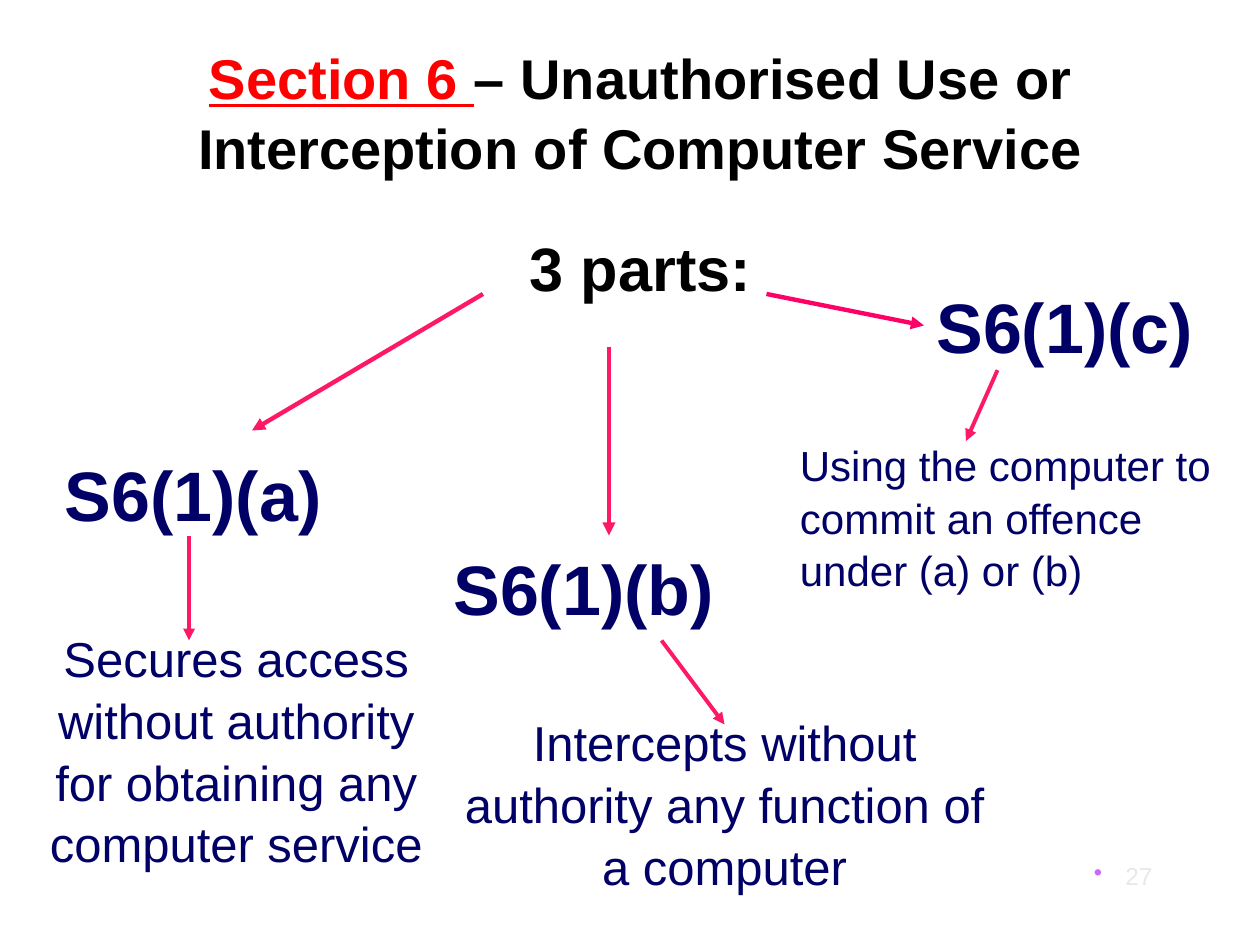
import pptx
import pptx.util
import pptx.dml.color
import pptx.enum.text
import pptx.enum.shapes
import pptx.oxml.ns
from lxml import etree

WIDTH, HEIGHT = 10, 7.5
COLUMNS, ROWS = 120, 90
NAVY, BLACK, RED, PINK, ROSE = "000066", "000000", "FF0000", "FD1965", "FF0066"
PALE, PURPLE = "E8E8E8", "CC66FF"
LEFT = pptx.enum.text.PP_ALIGN.LEFT
CENTER = pptx.enum.text.PP_ALIGN.CENTER
HEADING = {"size": pptx.util.Pt(40), "bold": True}
DETAIL = {"size": pptx.util.Pt(28)}
NOTE = {"size": pptx.util.Pt(24)}
TITLE = {"size": pptx.util.Pt(32), "bold": True}

# Column, row, columns wide, rows high, text, format, alignment
TEXTS = [
    (10, 21, 102, 54, "3 parts:", {"size": pptx.util.Pt(35), "bold": True, "color": BLACK}, CENTER),
    (5, 42, 39, 9.25, "S6(1)(a)", HEADING, LEFT),
    (42, 51, 28, 9.25, "S6(1)(b)", HEADING, LEFT),
    (88, 26, 28, 9.25, "S6(1)(c)", HEADING, LEFT),
    (2, 59, 41, 24,
     "Secures access without authority for obtaining any computer service", DETAIL, CENTER),
    (43, 67, 52, 18, "Intercepts without authority any function of a computer", DETAIL, CENTER),
    (75, 41, 44, 15.75, "Using the computer to commit an offence under (a) or (b)", NOTE, LEFT),
]

# Start column and row, end column and row, colour, width in points
ARROWS = [
    (46, 28, 24, 41, PINK, 2.5),
    (58, 33, 58, 51, PINK, 2.5),
    (73, 28, 88, 31, ROSE, 2.5),
    (18, 51, 18, 61, PINK, 2.25),
    (63, 61, 69, 69, PINK, 2.25),
    (95, 35.25, 92, 42, PINK, 2.25),
]


def across(columns):
    """Return the length of a number of grid columns."""
    return pptx.util.Inches(WIDTH * columns / COLUMNS)


def down(rows):
    """Return the length of a number of grid rows."""
    return pptx.util.Inches(HEIGHT * rows / ROWS)


def color_of(value):
    """Turn a hex string into a colour."""
    return pptx.dml.color.RGBColor.from_string(value)


def place(shape, column, row, columns, rows):
    """Put a shape on the grid."""
    shape.left, shape.top = across(column), down(row)
    shape.width, shape.height = across(columns), down(rows)


def add_run(paragraph, text, color=NAVY, **formats):
    """Add a run of Arial text with the given font values."""
    run = paragraph.add_run()
    run.text = text
    for name, value in {"name": "Arial", **formats}.items():
        setattr(run.font, name, value)
    run.font.color.rgb = color_of(color)


def format_frame(frame, alignment, anchor):
    """Set wrapping, anchor and alignment, and return the first paragraph."""
    values = {"word_wrap": True, "vertical_anchor": anchor,
              "auto_size": pptx.enum.text.MSO_AUTO_SIZE.NONE}
    for name, value in values.items():
        setattr(frame, name, value)
    paragraph = frame.paragraphs[0]
    paragraph.alignment = alignment
    paragraph.line_spacing = 1.05
    return paragraph


def add_title(slide):
    """Fill the title placeholder with its two-coloured heading."""
    title = slide.shapes.title
    place(title, 10, 3, 102, 15)
    paragraph = format_frame(title.text_frame, CENTER, pptx.enum.text.MSO_ANCHOR.MIDDLE)
    add_run(paragraph, "Section 6 ", RED, underline=True, **TITLE)
    add_run(paragraph, "– Unauthorised Use or Interception of Computer Service", BLACK, **TITLE)


def add_text(slide, column, row, columns, rows, text, formats, alignment):
    """Add a text box and return its paragraph."""
    box = slide.shapes.add_textbox(
        across(column), down(row), across(columns), down(rows))
    paragraph = format_frame(box.text_frame, alignment, pptx.enum.text.MSO_ANCHOR.TOP)
    add_run(paragraph, text, **formats)
    return paragraph


def add_bullet(paragraph, color, indent):
    """Give a paragraph a coloured bullet and a hanging indent."""
    properties = paragraph._p.get_or_add_pPr()
    properties.set("marL", str(indent))
    properties.set("indent", str(-indent))
    bullet_color = etree.SubElement(properties, pptx.oxml.ns.qn("a:buClr"))
    etree.SubElement(bullet_color, pptx.oxml.ns.qn("a:srgbClr"), val=color)
    etree.SubElement(properties, pptx.oxml.ns.qn("a:buChar"), char="•")


def add_arrow(slide, start_column, start_row, end_column, end_row, color, width):
    """Add a straight arrow without a shadow."""
    arrow = slide.shapes.add_connector(
        pptx.enum.shapes.MSO_CONNECTOR.STRAIGHT,
        across(start_column), down(start_row), across(end_column), down(end_row))
    arrow.line.color.rgb = color_of(color)
    arrow.line.width = pptx.util.Pt(width)
    etree.SubElement(arrow.line._get_or_add_ln(), pptx.oxml.ns.qn("a:tailEnd"), type="triangle")
    etree.SubElement(arrow._element.spPr, pptx.oxml.ns.qn("a:effectLst"))


def main():
    """Build the slide and save it."""
    presentation = pptx.Presentation()
    presentation.slide_width = pptx.util.Inches(WIDTH)
    presentation.slide_height = pptx.util.Inches(HEIGHT)
    slide = presentation.slides.add_slide(presentation.slide_layouts[5])
    add_title(slide)
    for text in TEXTS:
        add_text(slide, *text)
    for arrow in ARROWS:
        add_arrow(slide, *arrow)
    number = add_text(slide, 103, 81.25, 12, 4, "27",
                      {"size": pptx.util.Pt(14), "color": PALE}, LEFT)
    add_bullet(number, PURPLE, across(3))
    presentation.save("out.pptx")


main()
